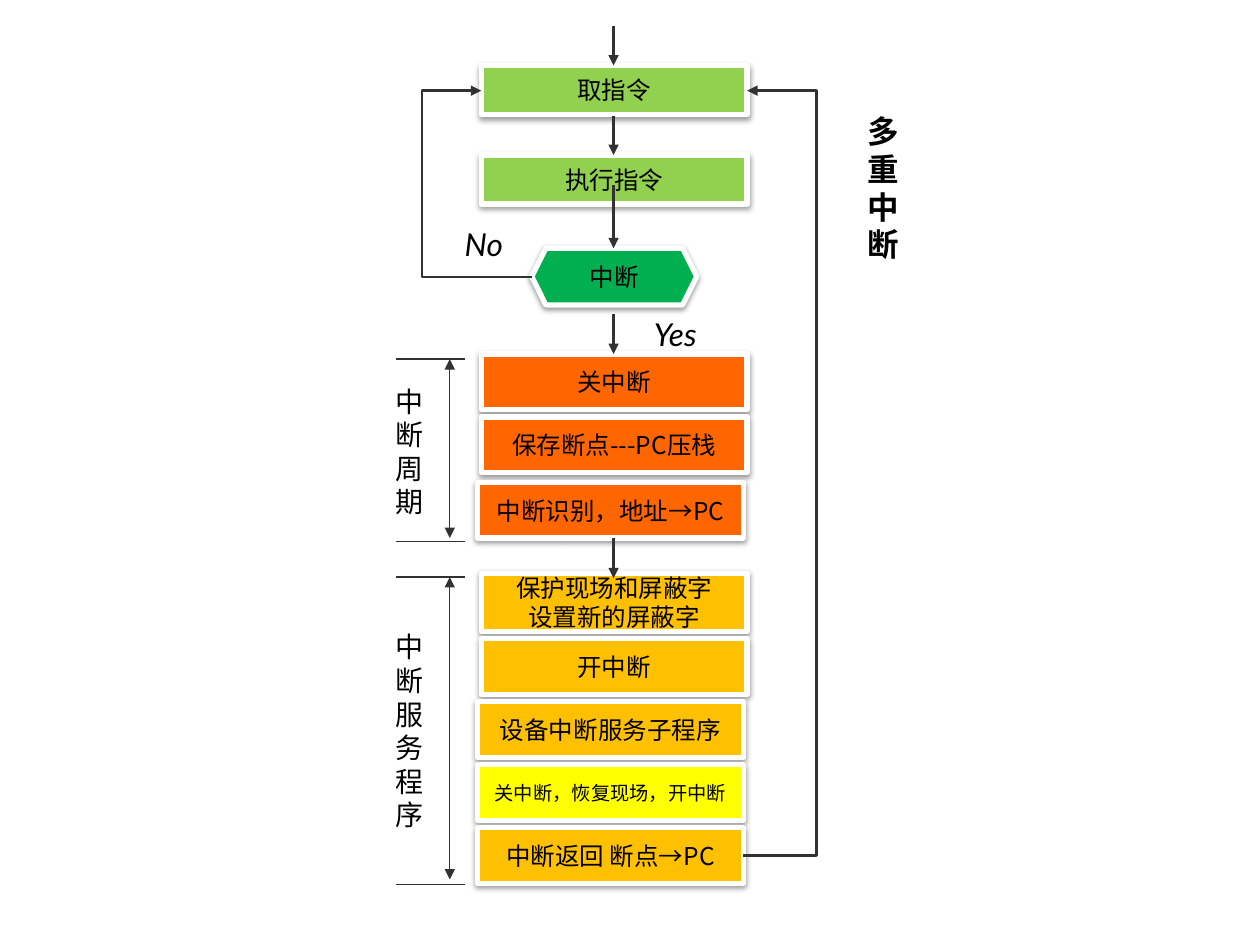
from lxml import etree
from pptx import Presentation
from pptx.dml.color import RGBColor
from pptx.enum.shapes import MSO_CONNECTOR, MSO_SHAPE
from pptx.enum.text import MSO_ANCHOR, MSO_AUTO_SIZE, PP_ALIGN
from pptx.oxml import parse_xml
from pptx.oxml.ns import qn
from pptx.util import Inches, Pt

RECT, HEXAGON = MSO_SHAPE.RECTANGLE, MSO_SHAPE.HEXAGON
STRAIGHT, ELBOW = MSO_CONNECTOR.STRAIGHT, MSO_CONNECTOR.ELBOW
CENTER, MIDDLE = PP_ALIGN.CENTER, MSO_ANCHOR.MIDDLE
FIT_SHAPE = MSO_AUTO_SIZE.SHAPE_TO_FIT_TEXT
CJK = "Noto Sans CJK SC"
COLORS = {
    "text": "000000", "border": "FFFFFF", "arrow": "323232",
    "fetch": "92D050", "check": "00B050", "cycle": "FF6600",
    "service": "FFC000", "restore": "FFFF00",
}
SHADOW = (
    '<a:effectLst xmlns:a="http://schemas.openxmlformats.org/drawingml/2006/main">'
    '<a:outerShdw blurRad="39400" dist="20300" dir="5400000" rotWithShape="0">'
    '<a:srgbClr val="000000"><a:alpha val="38000"/></a:srgbClr>'
    '</a:outerShdw></a:effectLst>'
)

prs = Presentation()
prs.slide_width, prs.slide_height = Inches(10), Inches(7.5)
slide = prs.slides.add_slide(prs.slide_layouts[6])
shapes = slide.shapes


def write(frame, text, size, font=CJK, align=None, bold=False, italic=False):
    frame.word_wrap = True
    frame.text = text
    for paragraph in frame.paragraphs:
        paragraph.alignment = align
        style = paragraph.font
        style.size, style.name = Pt(size), font
        style.bold, style.italic = bold, italic
        style.color.rgb = RGBColor.from_string(COLORS["text"])
        east_asian = etree.SubElement(paragraph._p.pPr.find(qn("a:defRPr")), qn("a:ea"))
        east_asian.set("typeface", CJK)


def connect(start, end, width=1.5, heads=("tailEnd",), via_x=None):
    """Draw a line from start to end, bent through the vertical at via_x if given."""
    kind = STRAIGHT if via_x is None else ELBOW
    line = shapes.add_connector(kind, *(Inches(v) for v in start + end))
    line.line.width = Pt(width)
    line.line.color.rgb = RGBColor.from_string(COLORS["arrow"])
    for head in heads:
        etree.SubElement(line.line._get_or_add_ln(), qn(f"a:{head}")).set("type", "triangle")
    properties = line._element.spPr
    etree.SubElement(properties, qn("a:effectLst"))
    if via_x is not None:
        bend = (via_x - start[0]) / (end[0] - start[0])
        guides = properties.find(qn("a:prstGeom")).get_or_add_avLst()
        guide = etree.SubElement(guides, qn("a:gd"))
        guide.set("name", "adj1")
        guide.set("fmla", f"val {round(bend * 100000)}")


# Steps of the flow: text, left, top, width, height, colour, size, outline
steps = [
    ("取指令", 3.82, 0.52, 2.11, 0.39, "fetch", 14, RECT),
    ("执行指令", 3.82, 1.23, 2.11, 0.39, "fetch", 14, RECT),
    ("中断", 4.22, 1.97, 1.31, 0.45, "check", 14, HEXAGON),
    ("关中断", 3.82, 2.81, 2.11, 0.44, "cycle", 14, RECT),
    ("保存断点---PC压栈", 3.82, 3.31, 2.11, 0.44, "cycle", 14, RECT),
    ("中断识别，地址→PC", 3.79, 3.83, 2.11, 0.44, "cycle", 14, RECT),
    ("保护现场和屏蔽字\n设置新的屏蔽字", 3.82, 4.55, 2.11, 0.46, "service", 14, RECT),
    ("开中断", 3.82, 5.07, 2.11, 0.44, "service", 14, RECT),
    ("设备中断服务子程序", 3.79, 5.57, 2.11, 0.44, "service", 14, RECT),
    ("关中断，恢复现场，开中断", 3.79, 6.07, 2.11, 0.44, "restore", 11, RECT),
    ("中断返回 断点→PC", 3.79, 6.57, 2.11, 0.44, "service", 14, RECT),
]
for text, left, top, width, height, color, size, outline in steps:
    step = shapes.add_shape(outline, Inches(left), Inches(top), Inches(width), Inches(height))
    step.fill.solid()
    step.fill.fore_color.rgb = RGBColor.from_string(COLORS[color])
    step.line.color.rgb = RGBColor.from_string(COLORS["border"])
    step.line.width = Pt(3)
    step._element.spPr.append(parse_xml(SHADOW))
    step.text_frame.vertical_anchor = MIDDLE
    write(step.text_frame, text, size, align=CENTER)

# Downward arrows, then the two loops back to the fetch step
for top, bottom in [(0.21, 0.52), (0.92, 1.23), (1.47, 1.97), (2.49, 2.81), (4.27, 4.59)]:
    connect((4.87, top), (4.87, bottom))
connect((4.22, 2.2), (3.82, 0.72), via_x=3.35)
connect((5.9, 6.79), (5.93, 0.72), via_x=6.48)

# Brackets marking the two phases: top bar, arrow end, bottom bar
for top, arrow_end, bottom in [(2.85, 4.27, 4.3), (4.58, 6.98, 7.02)]:
    for bar in (top, bottom):
        connect((3.14, bar), (3.69, bar), 0.75, heads=())
    connect((3.57, top), (3.57, arrow_end), 0.75, heads=("headEnd", "tailEnd"))

labels = [
    ("Yes", 5.09, 2.45, 0.81, 0.4, 18, "Lato", False, True),
    ("No", 3.59, 1.74, 0.63, 0.4, 18, "Lato", False, True),
    ("中断\n周期", 3.04, 3, 0.47, 1.18, 16, CJK, False, False),
    ("中断\n服务程序", 3.04, 4.95, 0.47, 1.72, 16, CJK, False, False),
    ("多重中断", 6.79, 0.84, 0.47, 1.31, 18, "Arial", True, False),
]
for text, left, top, width, height, size, font, bold, italic in labels:
    label = shapes.add_textbox(Inches(left), Inches(top), Inches(width), Inches(height))
    label.text_frame.auto_size = FIT_SHAPE
    write(label.text_frame, text, size, font, bold=bold, italic=italic)

prs.save("out.pptx")
